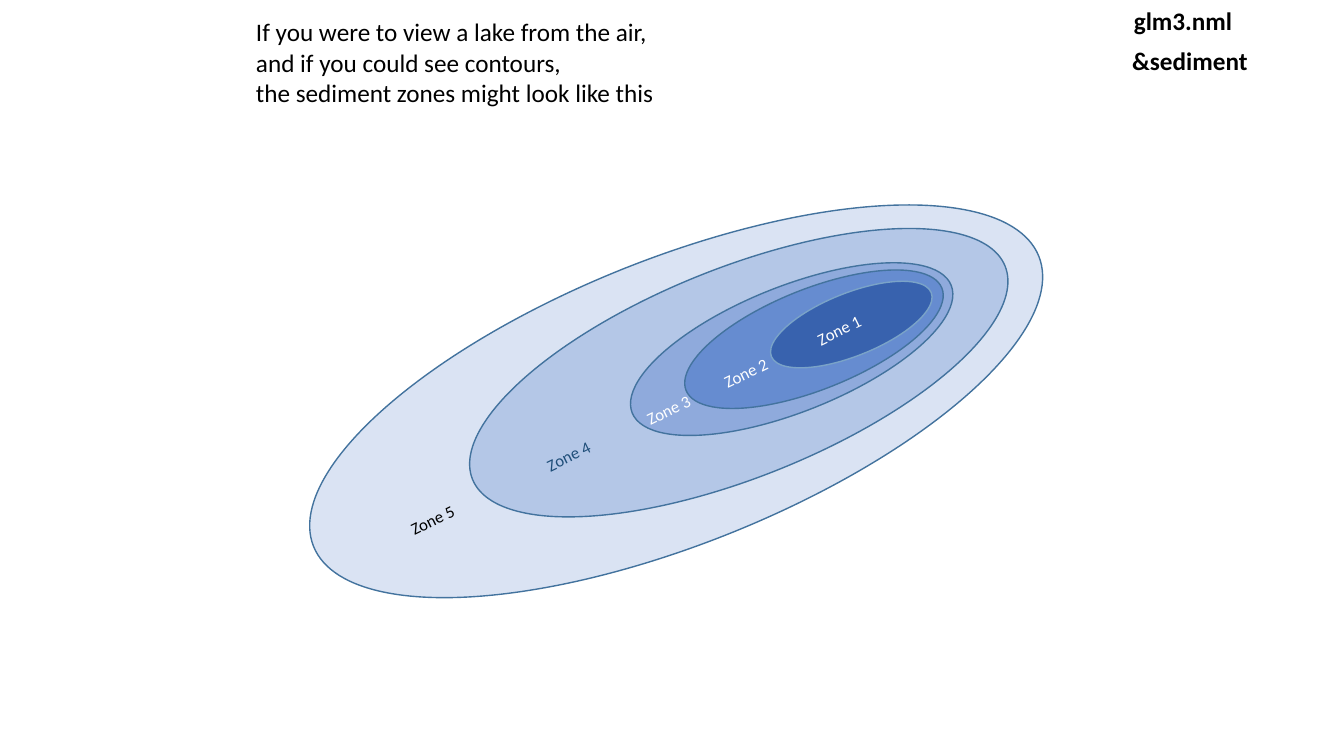
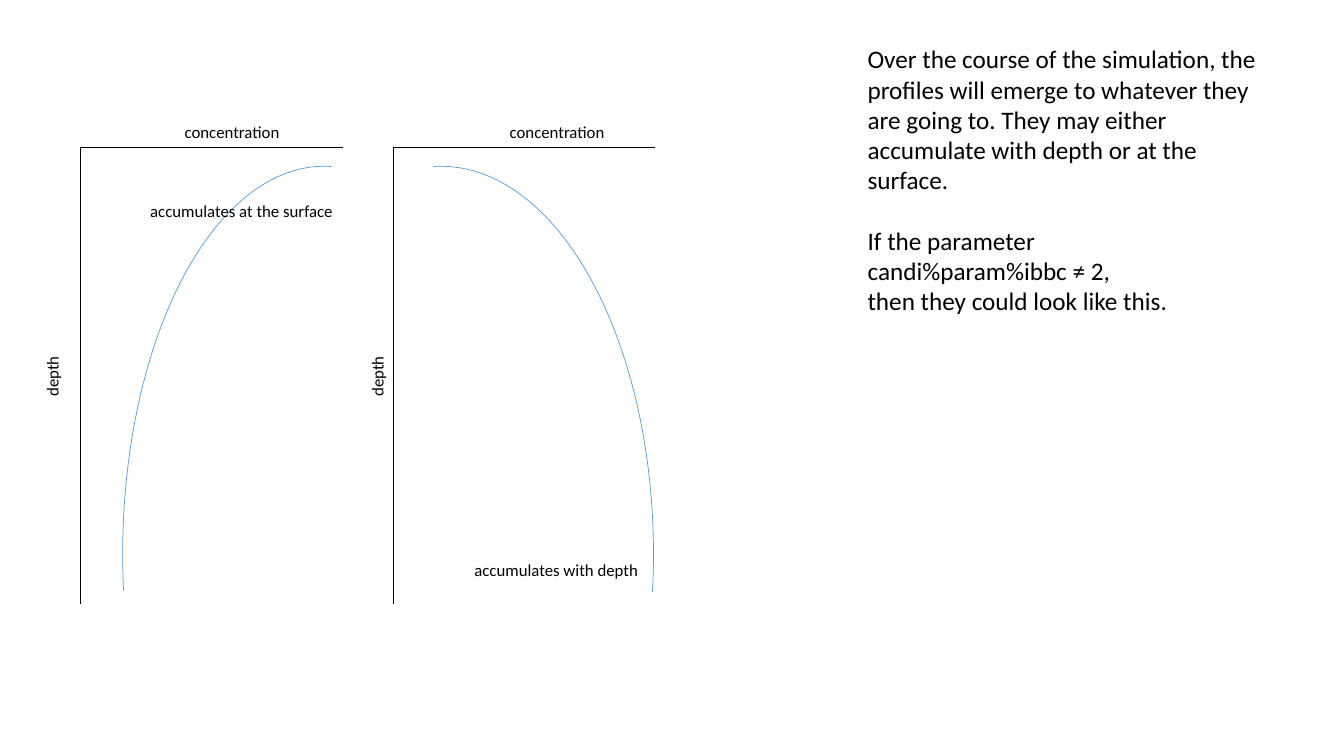
from lxml import etree
from pptx import Presentation
from pptx.dml.color import RGBColor
from pptx.enum.shapes import MSO_CONNECTOR, MSO_SHAPE
from pptx.oxml.ns import qn
from pptx.util import Inches, Pt

ELBOW = MSO_CONNECTOR.ELBOW
OVAL = MSO_SHAPE.OVAL
ARC = MSO_SHAPE.ARC

COLS, ROWS = 160, 90
BLACK, WHITE, NAVY = "000000", "FFFFFF", "1F4E79"
EDGE, PALE, CURVE = "43739E", "7AA3C8", "5B9BD5"


def color(code):
    return RGBColor.from_string(code)


class Deck:
    """Hold the style and the current slide, placed on a 160 by 90 grid."""

    def __init__(self):
        self.prs = Presentation()
        self.prs.slide_width = Inches(13.33)
        self.prs.slide_height = Inches(7.5)
        self.font = "Calibri"
        self.slide = None

    def page(self):
        self.slide = self.prs.slides.add_slide(self.prs.slide_layouts[6])

    def box(self, x, y, w, h):
        col = self.prs.slide_width / COLS
        row = self.prs.slide_height / ROWS
        return [round(v) for v in (x * col, y * row, w * col, h * row)]

    def text(self, words, place, size=18, ink=BLACK, bold=False,
             turn=0, wrap=True, gaps=()):
        shape = self.slide.shapes.add_textbox(*self.box(*place))
        shape.rotation = turn
        frame = shape.text_frame
        frame.word_wrap = wrap
        for i, line in enumerate(words.split("\n")):
            para = frame.paragraphs[0] if i == 0 else frame.add_paragraph()
            if i in gaps:
                para.space_before = Pt(1.2 * size)
            run = para.add_run()
            run.text = line
            run.font.name = self.font
            run.font.size = Pt(size)
            run.font.bold = bold
            run.font.color.rgb = color(ink)

    def shape(self, kind, place, line, width, fill=None):
        item = self.slide.shapes.add_shape(kind, *self.box(*place))
        item.shadow.inherit = False
        if fill:
            item.fill.solid()
            item.fill.fore_color.rgb = color(fill)
        else:
            item.fill.background()
        item.line.color.rgb = color(line)
        item.line.width = Pt(width)
        return item

    def zone(self, x, y, w, fill, line):
        item = self.shape(OVAL, (x, y, w, 0.365 * w), line, 1, fill)
        item.rotation = 338.2

    def curve(self, place, flip):
        item = self.shape(ARC, place, CURVE, 0.5)
        item.adjustments[0] = 161.34
        item.adjustments[1] = 6.09
        if flip:
            item.element.spPr.xfrm.set("flipH", "1")

    def axes(self, *place):
        x, y, w, h = self.box(*place)
        mid_x, mid_y = x + w // 2, y + h // 2
        line = self.slide.shapes.add_connector(
            ELBOW, mid_x - h // 2, mid_y - w // 2,
            mid_x + h // 2, mid_y + w // 2)
        line.line.color.rgb = color(BLACK)
        line.line.width = Pt(0.5)
        props = line.element.spPr
        props.xfrm.set("rot", "5400000")
        guide = etree.SubElement(props.find(qn("a:prstGeom")).find(qn("a:avLst")), qn("a:gd"))
        guide.set("name", "adj1")
        guide.set("fmla", "val -100")
        etree.SubElement(props, qn("a:effectLst"))


def lake(deck):
    deck.page()
    zones = [
        (34, 30.8, 93, "DAE3F3", EDGE),
        (53.8, 31.9, 68.3, "B4C7E7", EDGE),
        (73.8, 34.1, 40.9, "8FAADC", EDGE),
        (80.5, 34.4, 32.8, "668CD0", EDGE),
        (91.1, 34.9, 20.5, "3862AE", PALE),
    ]
    for zone in zones:
        deck.zone(*zone)
    deck.text("If you were to view a lake from the air,\n"
              "and if you could see contours,\n"
              "the sediment zones might look like this",
              (29.3, 1.4, 88.7, 12.1))
    tags = [(95.8, 36.8, WHITE), (84.7, 41.9, WHITE), (75.5, 46.3, WHITE),
            (63.6, 51.8, NAVY), (47.4, 59.4, BLACK)]
    for i, (x, y, ink) in enumerate(tags, 1):
        deck.text(f"Zone {i}", (x, y, 11, 3.6), size=12, ink=ink, turn=334.1)
    deck.text("&sediment", (133.6, 4.8, 23.2, 4.8), bold=True)
    deck.text("glm3.nml", (133.8, 0, 23.8, 4.8), bold=True)


def depth(deck):
    deck.page()
    plots = [
        ((14.6, 19.8, 48, 92.4), True,
         "accumulates at the surface", 16.7, 23.3),
        ((27.2, 19.8, 50.6, 92.4), False,
         "accumulates with depth", 55.3, 66),
    ]
    for i, (place, flip, note, x, y) in enumerate(plots):
        deck.axes(9.6 + 37.2 * i, 17.6, 31.1, 54.3)
        deck.curve(place, flip)
        step = 38.7 * i
        deck.text("concentration", (20.8 + step, 13.9, 13.8, 3.6),
                  size=12, wrap=False)
        deck.text("depth", (2.6 + step, 43, 7.2, 3.6),
                  size=12, turn=270, wrap=False)
        deck.text(note, (x, y, 27, 3.6), size=12)
    deck.text("Over the course of the simulation, the profiles will emerge to "
              "whatever they are going to. They may either accumulate with "
              "depth or at the surface.\n"
              "If the parameter\n"
              "candi%param%ibbc ≠ 2,\n"
              "then they could look like this.",
              (102.1, 4.6, 51.2, 34), gaps=(1,))


def main():
    deck = Deck()
    lake(deck)
    depth(deck)
    deck.prs.save("out.pptx")


if __name__ == "__main__":
    main()
